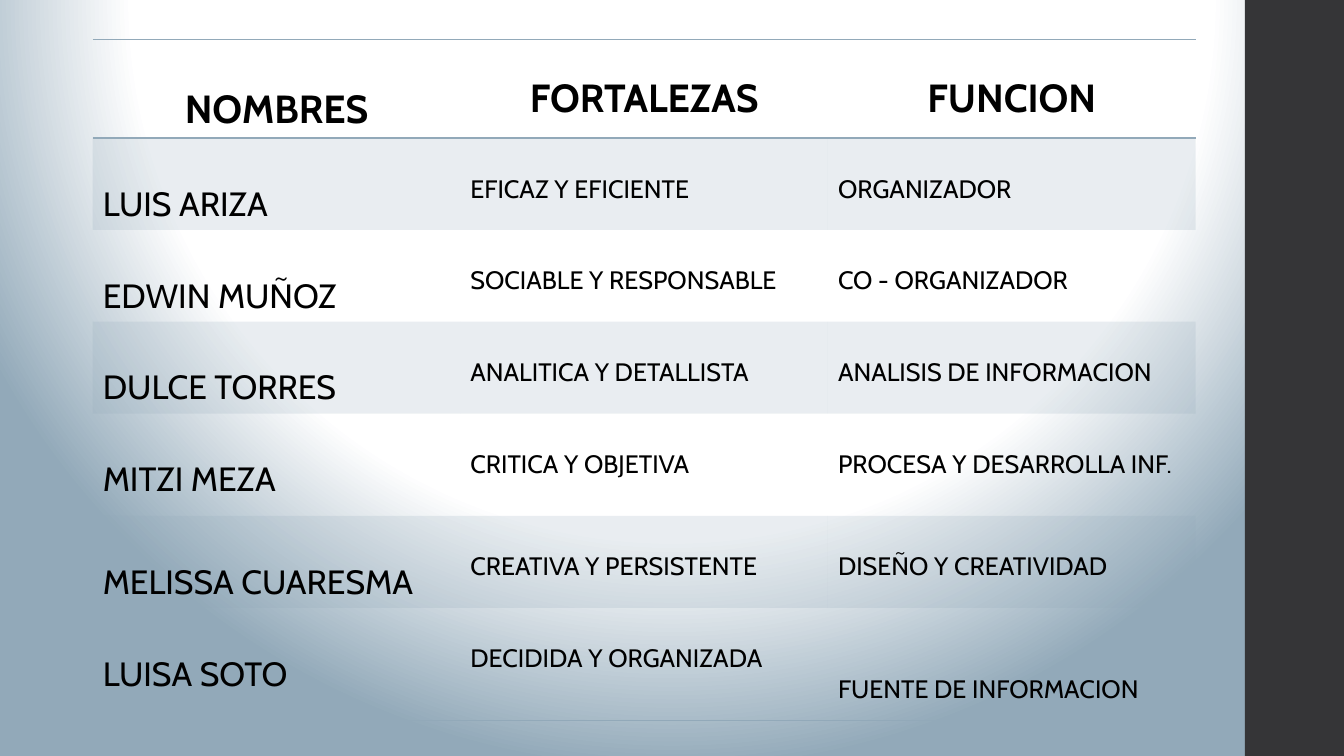
from lxml import etree
from pptx import Presentation
from pptx.dml.color import RGBColor
from pptx.enum import shapes, text
from pptx.oxml import parse_xml
from pptx.oxml.ns import nsdecls, qn
from pptx.util import Pt

HEAD = ("NOMBRES", "FORTALEZAS", "FUNCION")
TEAM = [
    ("LUIS ARIZA", "EFICAZ Y EFICIENTE", "ORGANIZADOR"),
    ("EDWIN MUÑOZ", "SOCIABLE Y RESPONSABLE", "CO - ORGANIZADOR"),
    ("DULCE TORRES", "ANALITICA Y DETALLISTA", "ANALISIS DE INFORMACION"),
    ("MITZI MEZA", "CRITICA Y OBJETIVA", "PROCESA Y DESARROLLA INF."),
    ("MELISSA CUARESMA", "CREATIVA Y PERSISTENTE", "DISEÑO Y CREATIVIDAD"),
    ("LUISA SOTO", "DECIDIDA Y ORGANIZADA", "FUENTE DE INFORMACION"),
]
THEME = dict(font="Cabin", ink="000000", tint="92A9B9", light="FFFFFF",
             bar="353537", head=28, name=24, body=18)
STOPS = [(0, "light"), (35, "light"), (70, "light"), (100, "tint")]

WIDE, HIGH = 960, 540
BAR = 889.2
LEFT, TOP, COL = 66.24, 28.2, 262.6
ROWS = [70.4, 65.6, 65.6, 65.6, 73.2, 65.6, 80.4]
PAD, LINE = 3.6, 1.215
PLAIN = "{2D5ABB26-0587-4C30-8999-92F81FD0307C}"


def color(key):
    return RGBColor.from_string(THEME[key])


def paint_back(slide):
    """Fill the background with a round glow centred above the slide."""
    slide.background.fill.gradient()
    old = slide.element.find(".//" + qn("a:gradFill"))
    stops = "".join(f'<a:gs pos="{pos * 1000}"><a:srgbClr val="{THEME[key]}"/></a:gs>'
                    for pos, key in STOPS)
    new = parse_xml(
        f'<a:gradFill {nsdecls("a")} rotWithShape="1"><a:gsLst>{stops}</a:gsLst>'
        '<a:path path="circle"><a:fillToRect l="50000" t="-80000" r="50000" b="180000"/>'
        '</a:path></a:gradFill>')
    old.getparent().replace(old, new)


def add_bar(slide):
    bar = slide.shapes.add_shape(shapes.MSO_SHAPE.RECTANGLE,
                                 Pt(BAR), 0, Pt(WIDE - BAR), Pt(HIGH))
    bar.shadow.inherit = False
    bar.fill.solid()
    bar.fill.fore_color.rgb = color("bar")
    bar.line.fill.background()


def rule(cell, sides):
    """Draw a thin line on the given sides, listed in schema order."""
    props = cell._tc.get_or_add_tcPr()
    for at, side in enumerate(sides):
        props.insert(at, parse_xml(
            f'<a:ln{side} {nsdecls("a")} w="12700"><a:solidFill>'
            f'<a:srgbClr val="{THEME["tint"]}"/></a:solidFill></a:ln{side}>'))


def shade(cell, band):
    if not band:
        cell.fill.background()
        return
    cell.fill.solid()
    cell.fill.fore_color.rgb = color("tint")
    tone = cell._tc.tcPr.find(".//" + qn("a:srgbClr"))
    etree.SubElement(tone, qn("a:alpha")).set("val", "20000")


def write(cell, words, row, col):
    """Set the words below a top margin that is one or two lines deep."""
    size = THEME["body" if col else "name"]
    drop = 2 if (row, col) == (len(TEAM), 2) else 1
    cell.margin_top = Pt(round(PAD + drop * size * LINE, 2))
    cell.margin_bottom = Pt(PAD)
    para = cell.text_frame.paragraphs[0]
    para.alignment = text.PP_ALIGN.LEFT if row else text.PP_ALIGN.CENTER
    run = para.add_run()
    run.text = words
    font = run.font
    font.name, font.bold = THEME["font"], row == 0
    font.size = Pt(size if row else THEME["head"])
    font.color.rgb = color("ink")


def add_team(slide):
    data = [HEAD, *TEAM]
    frame = slide.shapes.add_table(len(data), len(HEAD), Pt(LEFT), Pt(TOP),
                                   Pt(COL * len(HEAD)), Pt(sum(ROWS)))
    table = frame.table
    table._tbl.tblPr.find(qn("a:tableStyleId")).text = PLAIN
    for col in table.columns:
        col.width = Pt(COL)
    for row, line in enumerate(data):
        table.rows[row].height = Pt(ROWS[row])
        for col, words in enumerate(line):
            cell = table.cell(row, col)
            write(cell, words, row, col)
            shade(cell, row % 2)
            if row == 0:
                rule(cell, "TB")
            elif row == len(TEAM):
                rule(cell, "B")


def main():
    deck = Presentation()
    deck.slide_width, deck.slide_height = Pt(WIDE), Pt(HIGH)
    slide = deck.slides.add_slide(deck.slide_layouts[6])
    paint_back(slide)
    add_bar(slide)
    add_team(slide)
    deck.save("out.pptx")


if __name__ == "__main__":
    main()
